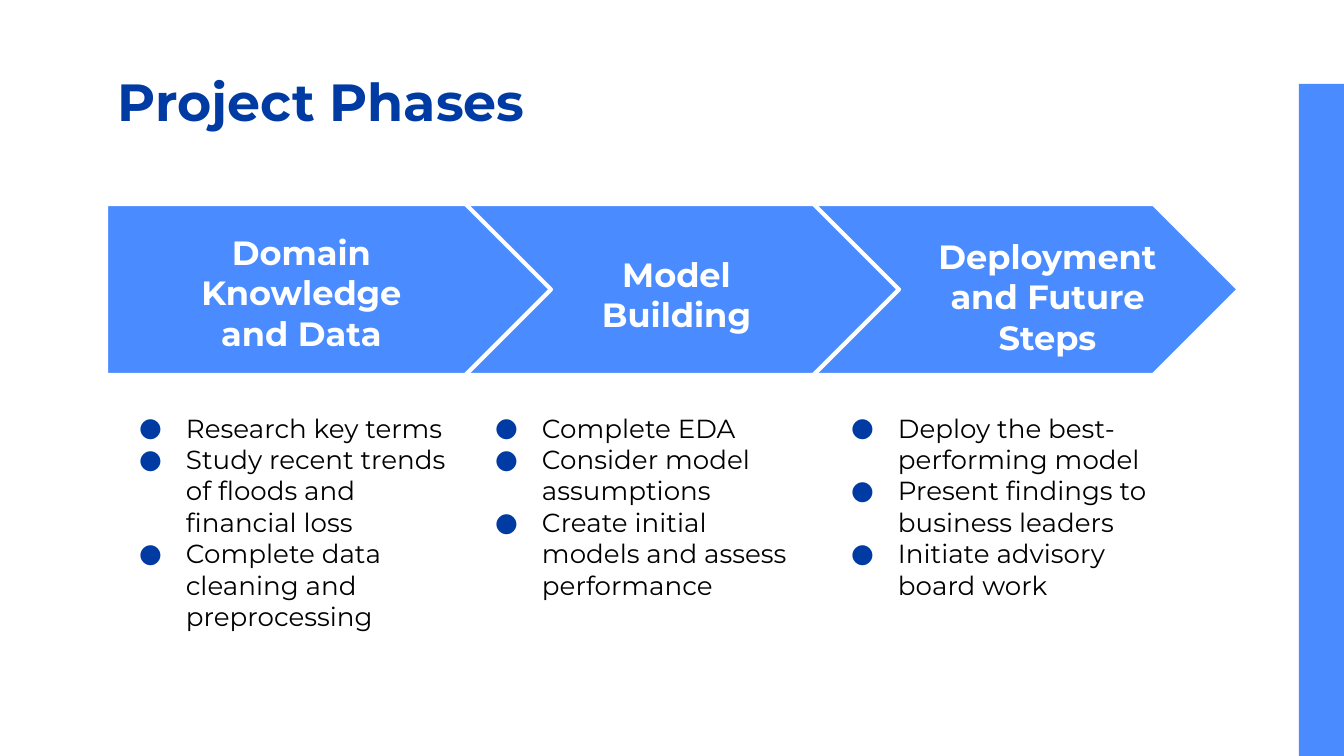
"""Build the Project Phases slide: three chevron steps with a task list under each."""
from dataclasses import dataclass

from lxml.etree import SubElement
from pptx import Presentation
from pptx.dml.color import RGBColor
from pptx.enum.shapes import MSO_SHAPE
from pptx.enum.text import MSO_ANCHOR, MSO_AUTO_SIZE, PP_ALIGN
from pptx.oxml.ns import qn
from pptx.util import Emu, Pt

EMU_PER_PX = 914400 / 134.4
FONT = "Montserrat"
COLORS = {"navy": "003BA3", "blue": "4A8CFF", "white": "FFFFFF", "black": "000000"}
ARROW_TOP, ARROW_WIDTH, ARROW_HEIGHT = 204, 445, 171
LIST_LEFT, LIST_PITCH, LIST_TOP, LIST_WIDTH, LIST_HEIGHT = 106, 356, 399, 358, 245
INSET, BULLET_MARGIN, BULLET_INDENT = 13, 67, -47


@dataclass(frozen=True)
class Box:
    left: int
    top: int
    width: int
    height: int


@dataclass(frozen=True)
class Phase:
    name: str
    arrow_left: int
    label: Box
    tasks: tuple[str, ...]


PHASES = (
    Phase("Domain Knowledge and Data", 106, Box(169, 219, 265, 195),
          ("Research key terms",
           "Study recent trends of floods and financial loss",
           "Complete data cleaning and preprocessing")),
    Phase("Model Building", 454, Box(548, 241, 257, 105),
          ("Complete EDA",
           "Consider model assumptions",
           "Create initial models and assess performance")),
    Phase("Deployment and Future Steps", 794, Box(919, 223, 257, 140),
          ("Deploy the best-performing model",
           "Present findings to business leaders",
           "Initiate advisory board work")),
)


def px(length: int) -> Emu:
    return Emu(round(length * EMU_PER_PX))


def color(name: str) -> RGBColor:
    return RGBColor.from_string(COLORS[name])


def bounds(box: Box) -> tuple[Emu, ...]:
    return px(box.left), px(box.top), px(box.width), px(box.height)


def place(shape, box: Box) -> None:
    shape.left, shape.top, shape.width, shape.height = bounds(box)


def write(shape, text: str, size: int, color_name: str, bold: bool, align=PP_ALIGN.LEFT) -> None:
    frame = shape.text_frame
    frame.text = text
    frame.word_wrap = True
    frame.auto_size = MSO_AUTO_SIZE.NONE
    frame.vertical_anchor = MSO_ANCHOR.TOP
    frame.margin_left = frame.margin_right = px(INSET)
    frame.margin_top = frame.margin_bottom = px(INSET)
    for paragraph in frame.paragraphs:
        paragraph.alignment = align
        paragraph.line_spacing = 1.0
        paragraph.space_before = Pt(0)
        for run in paragraph.runs:
            run.font.name = FONT
            run.font.size = Pt(size)
            run.font.bold = bold
            run.font.color.rgb = color(color_name)


def add_bullet(paragraph) -> None:
    properties = paragraph._p.get_or_add_pPr()
    properties.set("marL", str(px(BULLET_MARGIN)))
    properties.set("indent", str(px(BULLET_INDENT)))
    bullet_color = SubElement(properties, qn("a:buClr"))
    SubElement(bullet_color, qn("a:srgbClr"), val=COLORS["navy"])
    SubElement(properties, qn("a:buFont"), typeface=FONT)
    SubElement(properties, qn("a:buChar"), char="●")


def add_block(slide, kind: MSO_SHAPE, box: Box):
    shape = slide.shapes.add_shape(kind, *bounds(box))
    shape.shadow.inherit = False
    shape.fill.solid()
    shape.fill.fore_color.rgb = color("blue")
    shape.line.fill.background()
    return shape


def add_arrow(slide, phase: Phase) -> None:
    box = Box(phase.arrow_left, ARROW_TOP, ARROW_WIDTH, ARROW_HEIGHT)
    arrow = add_block(slide, MSO_SHAPE.PENTAGON, box)
    arrow.adjustments[0] = 0.5
    arrow.line.color.rgb = color("white")
    arrow.line.width = Pt(2.25)


def add_label(slide, phase: Phase) -> None:
    label = slide.shapes.add_textbox(*bounds(phase.label))
    write(label, phase.name, 18, "white", True, PP_ALIGN.CENTER)


def fill_list(placeholder, column: int, phase: Phase) -> None:
    left = LIST_LEFT + column * LIST_PITCH
    place(placeholder, Box(left, LIST_TOP, LIST_WIDTH, LIST_HEIGHT))
    write(placeholder, "\n".join(phase.tasks), 14, "black", False)
    for paragraph in placeholder.text_frame.paragraphs:
        add_bullet(paragraph)


def main() -> None:
    presentation = Presentation()
    presentation.slide_width, presentation.slide_height = px(1344), px(756)
    slide = presentation.slides.add_slide(presentation.slide_layouts.get_by_name("Comparison"))
    title, *lists, spare = list(slide.placeholders)
    spare.element.getparent().remove(spare.element)

    place(title, Box(105, 56, 1133, 95))
    write(title, "Project Phases", 28, "navy", True)
    add_block(slide, MSO_SHAPE.RECTANGLE, Box(1299, 84, 45, 672))
    for phase in reversed(PHASES):
        add_arrow(slide, phase)
    for column, (placeholder, phase) in enumerate(zip(lists, PHASES)):
        add_label(slide, phase)
        fill_list(placeholder, column, phase)
    presentation.save("out.pptx")


if __name__ == "__main__":
    main()
